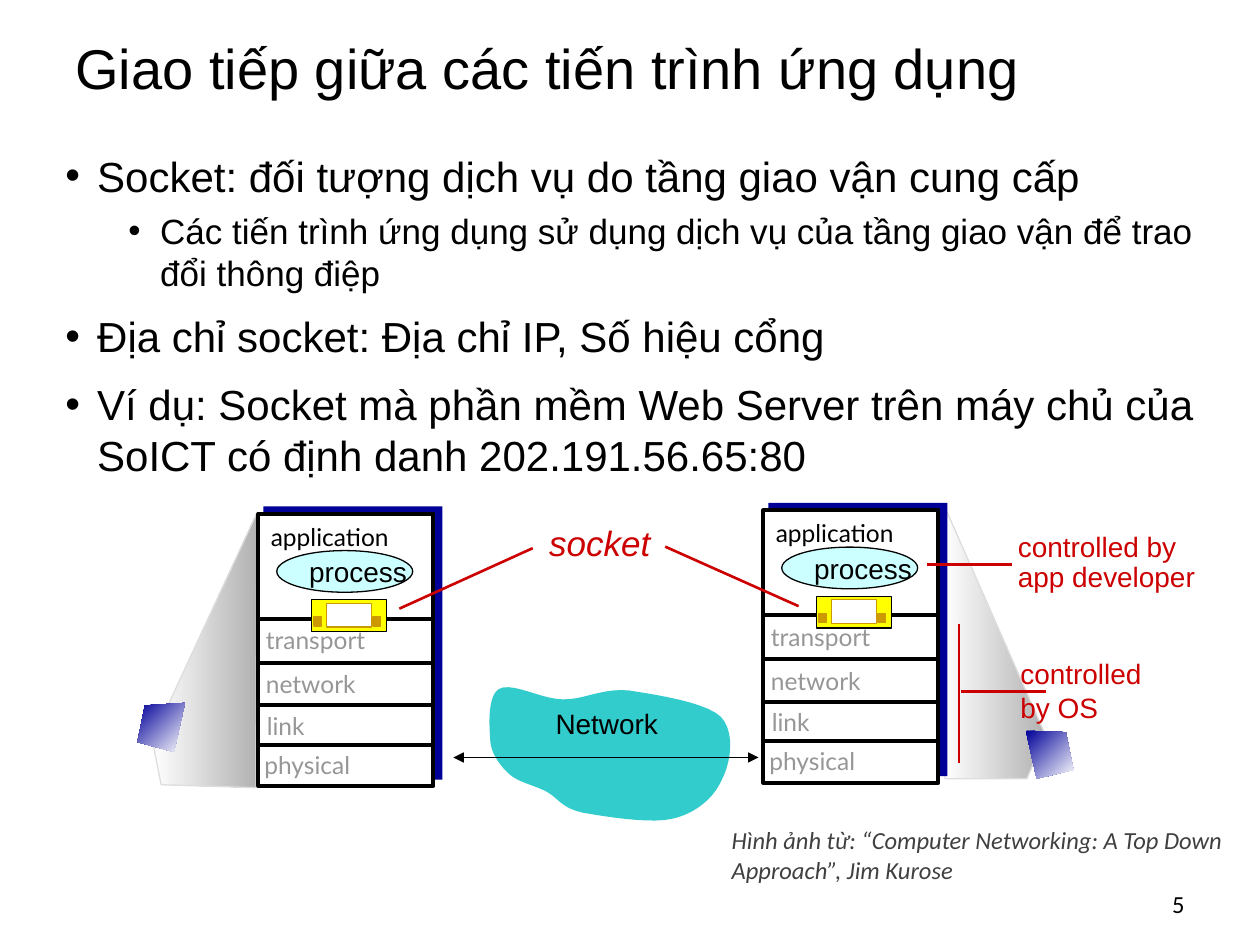
from lxml import etree
from pptx import Presentation
from pptx import util as u
from pptx.dml import color
from pptx.enum import shapes, text
from pptx.oxml import ns

RED, NAVY, GREY = "CC0000", "000099", "969696"
MIDDLE = text.MSO_ANCHOR.MIDDLE
FIT = text.MSO_AUTO_SIZE.SHAPE_TO_FIT_TEXT


def rgb(value):
    """Turn a hex string into a colour."""
    return color.RGBColor.from_string(value)


def add_xml(parent, tag, **attributes):
    """Append a DrawingML element with the given attributes."""
    return etree.SubElement(parent, ns.qn(tag), attributes)


def apply_format(target, values):
    """Set each attribute named in a dict of format values."""
    for name, value in values.items():
        setattr(target, name, value)


def write(paragraph, words, size, font="Arial", hue="000000", italic=None, **layout):
    """Fill a paragraph with one formatted run."""
    apply_format(paragraph, layout)
    run = paragraph.add_run()
    run.text = words
    apply_format(run.font, {"size": u.Pt(size), "name": font, "italic": italic})
    run.font.color.rgb = rgb(hue)


def add_text(slide, box, lines, size, frame=None, **style):
    """Add a text box with one paragraph per line."""
    text_frame = slide.shapes.add_textbox(*map(u.Cm, box)).text_frame
    apply_format(text_frame, {"word_wrap": True, **(frame or {})})
    for index, line in enumerate(lines):
        paragraph = text_frame.add_paragraph() if index else text_frame.paragraphs[0]
        write(paragraph, line, size, **style)


def add_bullets(slide, box, items):
    """Add a bulleted list of (level, words) items."""
    text_frame = slide.shapes.add_textbox(*map(u.Cm, box)).text_frame
    text_frame.word_wrap = True
    for index, (level, words) in enumerate(items):
        paragraph = text_frame.add_paragraph() if index else text_frame.paragraphs[0]
        if index:
            paragraph.space_before = u.Pt(5 if level else 10)
        paragraph.level = level
        properties = paragraph._p.get_or_add_pPr()
        properties.set("marL", str(u.Cm(0.64 + 1.27 * level)))
        properties.set("indent", str(u.Cm(-0.64)))
        add_xml(properties, "a:buFont", typeface="Arial")
        add_xml(properties, "a:buChar", char="•")
        write(paragraph, words, 20 if level else 24)


def paint(shape, fill, line=None, width=0.75):
    """Set a solid fill or a (start, end, angle) gradient, and the outline."""
    shape.shadow.inherit = False
    if isinstance(fill, tuple):
        shape.fill.gradient()
        shape.fill.gradient_angle = fill[2]
        for stop, hue in zip(shape.fill.gradient_stops, fill):
            stop.color.rgb = rgb(hue)
    else:
        shape.fill.solid()
        shape.fill.fore_color.rgb = rgb(fill)
    if line:
        shape.line.color.rgb = rgb(line)
        shape.line.width = u.Pt(width)
    else:
        shape.line.fill.background()


def add_block(slide, kind, box, fill, line=None, width=0.75):
    """Add a painted preset shape."""
    shape = slide.shapes.add_shape(kind, *map(u.Cm, box))
    paint(shape, fill, line, width)
    return shape


def add_outline(slide, points, fill, line=None):
    """Add a closed freeform through the points."""
    corners = [(u.Cm(x), u.Cm(y)) for x, y in points]
    builder = slide.shapes.build_freeform(*corners[0])
    builder.add_line_segments(corners[1:], close=True)
    paint(builder.convert_to_shape(), fill, line)


def trace_curve(start, curves, steps=10):
    """Return points along a chain of cubic curves."""
    points = [start]
    for x1, y1, x2, y2, x3, y3 in curves:
        controls = [points[-1], (x1, y1), (x2, y2), (x3, y3)]
        for step in range(1, steps + 1):
            t = step / steps
            weights = (1 - t) ** 3, 3 * t * (1 - t) ** 2, 3 * t * t * (1 - t), t ** 3
            points.append(tuple(sum(w * c[axis] for w, c in zip(weights, controls))
                                for axis in (0, 1)))
    return points


def add_line(slide, ends, hue, width, arrows=False):
    """Add a straight line, with arrowheads at both ends if asked."""
    line = slide.shapes.add_connector(shapes.MSO_CONNECTOR.STRAIGHT, *map(u.Cm, ends))
    line.line.color.rgb = rgb(hue)
    line.line.width = u.Pt(width)
    if arrows:
        for tag in ("a:headEnd", "a:tailEnd"):
            add_xml(line.line._ln, tag, type="triangle")
    add_xml(line._element.spPr, "a:effectLst")


def add_host(slide, x, y):
    """Draw a protocol stack with its process and socket."""
    rectangle = shapes.MSO_SHAPE.RECTANGLE
    add_block(slide, rectangle, (x + 0.1, y - 0.15, 3.61, 5.51), NAVY)
    add_block(slide, rectangle, (x, y, 3.53, 5.49), "FFFFFF", "000000", 2.25)
    for drop in (2.11, 3, 3.86, 4.65):
        add_line(slide, (x, y + drop, x + 3.53, y + drop), "000000", 2.25)
    layers = [("application", 0, -0.03, "000000"), ("transport", -0.1, 2.06, GREY),
              ("network", -0.1, 2.95, GREY), ("link", -0.08, 3.78, GREY),
              ("physical", -0.13, 4.57, GREY)]
    for name, shift, drop, hue in layers:
        add_text(slide, (x + shift, y + drop, 3.66, 0.91), [name], 14, {"auto_size": FIT},
                 font="Lato", hue=hue, line_spacing=1.1)
    process = add_block(slide, shapes.MSO_SHAPE.OVAL, (x + 0.37, y + 0.74, 2.74, 0.84),
                        "CCFFFF", "000000")
    apply_format(process.text_frame, {"word_wrap": False, "vertical_anchor": MIDDLE})
    write(process.text_frame.paragraphs[0], "process", 16, alignment=text.PP_ALIGN.LEFT)
    socket_parts = [(1.07, 1.73, 1.52, 0.64, "FFFF00", "000000"),
                    (1.37, 1.8, 0.91, 0.48, "FFFFFF", "CC9900"),
                    (2.31, 2.08, 0.15, 0.18, "CC9900", "CC9900"),
                    (1.12, 2.08, 0.15, 0.18, "CC9900", "CC9900")]
    for left, top, width, height, fill, line in socket_parts:
        add_block(slide, rectangle, (x + left, y + top, width, height), fill, line)


def add_network(slide):
    """Draw the network cloud with its label and arrow."""
    cloud = trace_curve((9.88, 14.88), [
        (9.86, 14.61, 9.83, 14.02, 10.06, 13.89), (10.31, 13.74, 10.92, 14.1, 11.35, 14.1),
        (11.81, 14.1, 12.14, 13.87, 12.67, 13.92), (13.18, 14, 14.22, 14.15, 14.53, 14.45),
        (14.83, 14.76, 14.73, 15.39, 14.55, 15.72), (14.4, 16.08, 14.02, 16.41, 13.54, 16.51),
        (13.08, 16.61, 12.17, 16.46, 11.73, 16.38), (11.3, 16.28, 11.25, 16.08, 11, 15.95),
        (10.74, 15.82, 10.44, 15.77, 10.26, 15.6), (10.06, 15.42, 9.88, 15.16, 9.88, 14.88)])
    add_outline(slide, cloud, "33CCCC")
    add_text(slide, (10.95, 14.12, 2.59, 0.94), ["Network"], 16,
             {"word_wrap": False, "auto_size": FIT})
    add_line(slide, (9.14, 15.27, 15.29, 15.27), "000000", 0.75, arrows=True)


def add_callouts(slide):
    """Add the red labels and their lines."""
    label = {"word_wrap": False, "auto_size": FIT}
    add_text(slide, (20.32, 13.11, 2.95, 2.29), ["controlled", "by OS"], 16, label, hue=RED)
    add_text(slide, (20.27, 10.62, 4.09, 1.47), ["controlled by", "app developer"], 16,
             label, hue=RED, line_spacing=0.9)
    add_text(slide, (10.82, 10.49, 2.8, 1.02), ["socket"], 20, {"auto_size": FIT}, hue=RED,
             italic=True, line_spacing=0.9)
    for ends in [(20.4, 11.38, 18.69, 11.38), (19.33, 12.57, 19.33, 15.39),
                 (21.08, 13.94, 19.38, 13.94), (8.05, 12.27, 10.74, 11.05),
                 (16.1, 12.22, 13.41, 11.02)]:
        add_line(slide, ends, RED, 1.5)


def main():
    """Build the slide and save it."""
    presentation = Presentation()
    apply_format(presentation, {"slide_width": u.Cm(25.4), "slide_height": u.Cm(19.05)})
    slide = presentation.slides.add_slide(presentation.slide_layouts[6])
    add_text(slide, (1.27, 0.33, 21.23, 2.21), ["Giao tiếp giữa các tiến trình ứng dụng"], 32,
             {"vertical_anchor": MIDDLE}, line_spacing=0.9)
    add_bullets(slide, (1.07, 2.9, 23.29, 8), [
        (0, "Socket: đối tượng dịch vụ do tầng giao vận cung cấp"),
        (1, "Các tiến trình ứng dụng sử dụng dịch vụ của tầng giao vận để trao đổi thông điệp"),
        (0, "Địa chỉ socket: Địa chỉ IP, Số hiệu cổng"),
        (0, "Ví dụ: Socket mà phần mềm Web Server trên máy chủ của SoICT có định danh "
            "202.191.56.65:80")])
    add_text(slide, (18.21, 17.58, 5.92, 1.27), ["5"], 14, {"vertical_anchor": MIDDLE},
             font="Calibri", alignment=text.PP_ALIGN.RIGHT)
    for beam in [[(21.08, 14.83), (19.02, 10.16), (19.05, 15.7), (20.7, 15.7)],
                 [(3.07, 14.91), (5.18, 10.34), (5.16, 15.88), (3.25, 15.82)]]:
        add_outline(slide, beam, ("FFFFFF", "B2B2B2", 0), "DDDDDD")
    add_network(slide)
    for x, y in [(5.21, 10.36), (15.39, 10.29)]:
        add_host(slide, x, y)
    add_callouts(slide)
    for computer in [[(3.73, 14.17), (2.92, 14.22), (2.77, 14.96), (3.51, 15.16)],
                     [(20.68, 14.73), (21.49, 14.76), (21.64, 15.52), (20.9, 15.7)]]:
        add_outline(slide, computer, (NAVY, "FFFFFF", 315))
    add_text(slide, (14.5, 16.51, 10.52, 1.45),
             ["Hình ảnh từ: “Computer Networking: A Top Down Approach”, Jim Kurose"], 14,
             {"auto_size": FIT}, font="Calibri", hue="404040", italic=True)
    presentation.save("out.pptx")


if __name__ == "__main__":
    main()
